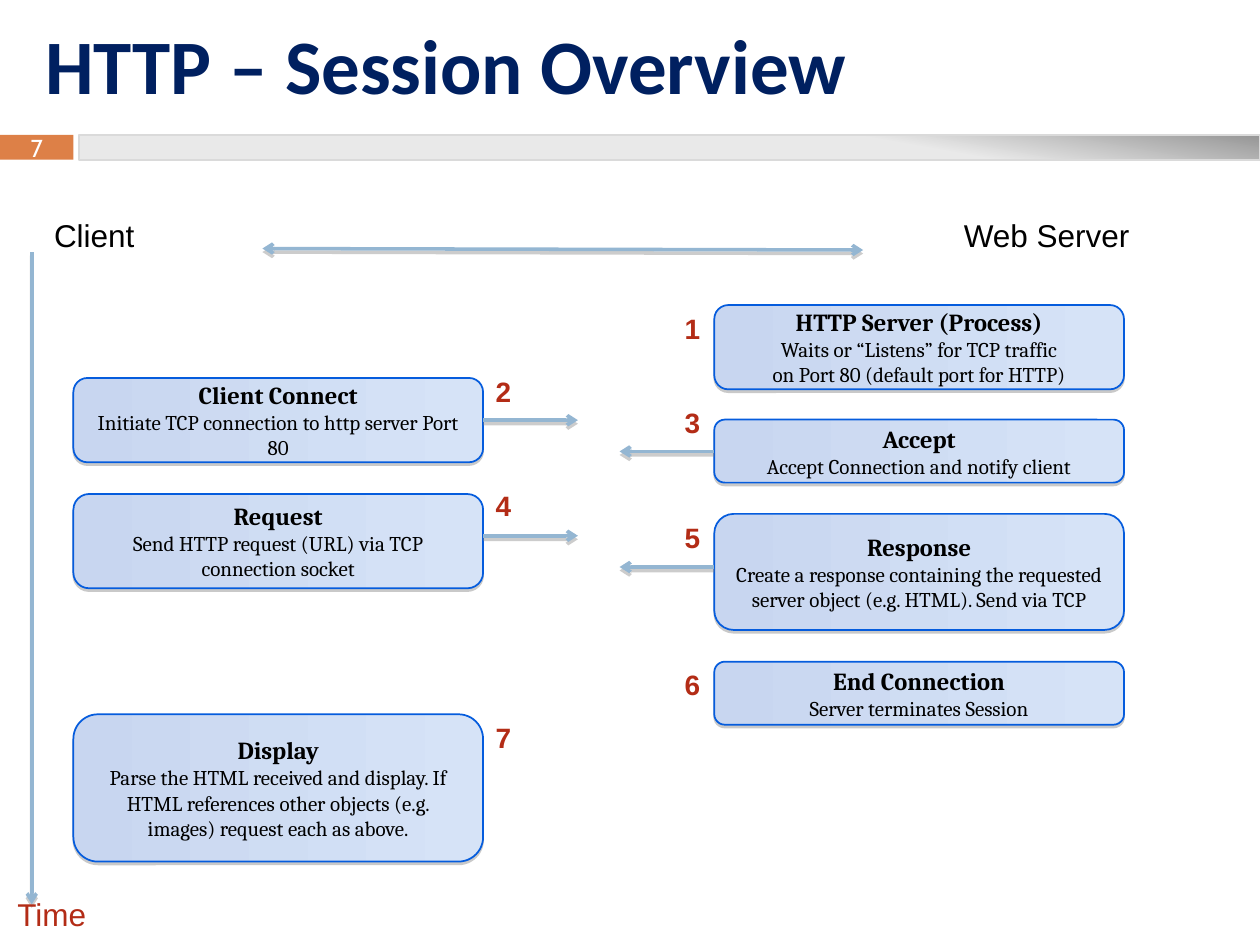
import pptx
import pptx.util
from pptx.dml.color import RGBColor
from pptx.enum.shapes import MSO_CONNECTOR, MSO_SHAPE
from pptx.enum.text import MSO_ANCHOR, MSO_AUTO_SIZE, PP_ALIGN
from pptx.oxml import parse_xml
from pptx.oxml.ns import nsdecls, qn
from lxml import etree

Cm = pptx.util.Cm
Pt = pptx.util.Pt

COLORS = {
    "title": "002060", "black": "000000", "white": "FFFFFF", "red": "B32C16",
    "orange": "DD8047", "arrow": "94B6D2", "shadow": "808080",
    "box_line": "055CDD", "box_left": "C8D6F0", "box_right": "D6E3F7",
    "bar_light": "E9E9E9", "bar_dark": "969696", "bar_line": "DADADA",
}

CLIENT_LEFT, SERVER_LEFT, BOX_WIDTH = 1.48, 14.4, 8.26
ARROW_LENGTH, NUMBER_WIDTH = 1.91, 0.85

# side, top, height, number top, arrow y, heading, description
STEPS = [
    ("server", 6.15, 1.7, 6.15, None, "HTTP Server (Process)",
     "Waits or “Listens” for TCP traffic\von Port 80 (default port for HTTP)"),
    ("client", 7.62, 1.7, 7.42, 8.47, "Client Connect",
     "Initiate TCP connection to http server Port 80"),
    ("server", 8.46, 1.27, 8.05, 9.1, "Accept",
     "Accept Connection and notify client"),
    ("client", 9.96, 1.9, 9.73, 10.8, "Request",
     "Send HTTP request (URL) via TCP connection socket"),
    ("server", 10.36, 2.34, 10.36, 11.43, "Response",
     "Create a response containing the requested server object (e.g. HTML). Send via TCP"),
    ("server", 13.34, 1.27, 13.34, None, "End Connection",
     "Server terminates Session"),
    ("client", 14.4, 2.97, 14.4, None, "Display",
     "Parse the HTML received and display. If HTML references other objects "
     "(e.g. images) request each as above."),
]


def rgb(name):
    return RGBColor.from_string(COLORS[name])


def write_text(paragraph, text, font="Arial", size=18, color="black", bold=False,
               align=PP_ALIGN.LEFT):
    paragraph.text = text
    paragraph.alignment = align
    for run in paragraph.runs:
        run.font.name = font
        run.font.size = Pt(size)
        run.font.bold = bold
        run.font.color.rgb = rgb(color)
    for line_break in paragraph._p.findall(qn("a:br")):
        etree.SubElement(line_break, qn("a:rPr")).set("sz", str(size * 100))


def add_label(slide, left, top, width, height, text, wrap=False, **text_format):
    label = slide.shapes.add_textbox(Cm(left), Cm(top), Cm(width), Cm(height))
    label.text_frame.word_wrap = wrap
    label.text_frame.auto_size = MSO_AUTO_SIZE.SHAPE_TO_FIT_TEXT
    write_text(label.text_frame.paragraphs[0], text, **text_format)


def add_block(slide, preset, left, top, width, height, line=None):
    shape = slide.shapes.add_shape(preset, Cm(left), Cm(top), Cm(width), Cm(height))
    shape.shadow.inherit = False
    if line:
        shape.line.color.rgb = rgb(line)
        shape.line.width = Pt(1)
    else:
        shape.line.fill.background()
    return shape


def fill_gradient(shape, angle, stops):
    shape.fill.gradient()
    gradient = shape._element.spPr.find(qn("a:gradFill"))
    marks = "".join(
        f'<a:gs pos="{position * 1000}"><a:srgbClr val="{COLORS[color]}"/></a:gs>'
        for position, color in stops)
    gradient.getparent().replace(gradient, parse_xml(
        f'<a:gradFill {nsdecls("a")} rotWithShape="1"><a:gsLst>{marks}</a:gsLst>'
        f'<a:lin ang="{angle * 60000}" scaled="0"/></a:gradFill>'))


def drop_shadow(shape, distance, opacity):
    properties = shape._element.spPr
    for effects in properties.findall(qn("a:effectLst")):
        properties.remove(effects)
    properties.append(parse_xml(
        f'<a:effectLst {nsdecls("a")}><a:outerShdw blurRad="0" dist="{Pt(distance)}" '
        f'dir="5400000" rotWithShape="0"><a:srgbClr val="{COLORS["shadow"]}">'
        f'<a:alpha val="{opacity * 1000}"/></a:srgbClr></a:outerShdw></a:effectLst>'))


def add_arrow(slide, x1, y1, x2, y2, ends=("tailEnd",)):
    arrow = slide.shapes.add_connector(
        MSO_CONNECTOR.STRAIGHT, Cm(x1), Cm(y1), Cm(x2), Cm(y2))
    arrow.line.color.rgb = rgb("arrow")
    arrow.line.width = Pt(2)
    line = arrow._element.spPr.find(qn("a:ln"))
    for end in ends:
        etree.SubElement(line, qn(f"a:{end}")).set("type", "arrow")
    drop_shadow(arrow, 2, 40)


def add_header(slide, left, top, width):
    # Title
    title = slide.shapes.title
    title.left, title.top = Cm(left + 0.66), Cm(top + 0.13)
    title.width, title.height = Cm(22.66), Cm(2.29)
    title.text_frame.auto_size = MSO_AUTO_SIZE.NONE
    title.text_frame.vertical_anchor = MSO_ANCHOR.MIDDLE
    write_text(title.text_frame.paragraphs[0], "HTTP – Session Overview",
               font="Calibri", size=44, color="title", bold=True)

    # Page number and grey bar
    bar_top, bar_height, bar_left = top + 2.72, 0.5, left + 1.6
    number = add_block(slide, MSO_SHAPE.RECTANGLE, left, bar_top, 1.48, bar_height)
    number.fill.solid()
    number.fill.fore_color.rgb = rgb("orange")
    number.text_frame.vertical_anchor = MSO_ANCHOR.MIDDLE
    write_text(number.text_frame.paragraphs[0], "7", font="Cabin", size=14,
               color="white", align=PP_ALIGN.CENTER)
    bar = add_block(slide, MSO_SHAPE.RECTANGLE, bar_left, bar_top,
                    left + width - bar_left, bar_height, line="bar_line")
    fill_gradient(bar, 280, [(0, "bar_light"), (69, "bar_light"), (100, "bar_dark")])


def add_axes(slide, left, top, height):
    # Names of both parties, the link between them and the time line
    add_label(slide, left + 0.74, top, 2.16, 1.02, "Client")
    add_label(slide, left + 19.08, top, 3.89, 1.02, "Web Server")
    add_arrow(slide, left + 5.19, top + 0.77, left + 17.3, top + 0.8,
              ends=("headEnd", "tailEnd"))
    add_arrow(slide, left + 0.54, top + 0.84, left + 0.54, top + height - 0.7)
    add_label(slide, left, top + height - 1.02, 1.9, 1.02, "Time", color="red")


def add_step(slide, number, side, top, height, number_top, arrow_y, heading, description):
    on_client = side == "client"
    left = CLIENT_LEFT if on_client else SERVER_LEFT
    box = add_block(slide, MSO_SHAPE.ROUNDED_RECTANGLE, left, top, BOX_WIDTH, height,
                    line="box_line")
    fill_gradient(box, 0, [(0, "box_left"), (100, "box_right")])
    drop_shadow(box, 1.6, 42)
    frame = box.text_frame
    frame.word_wrap = True
    frame.vertical_anchor = MSO_ANCHOR.MIDDLE
    write_text(frame.paragraphs[0], heading, font="Cambria", size=14, bold=True,
               align=PP_ALIGN.CENTER)
    write_text(frame.add_paragraph(), description, font="Cambria", size=12,
               align=PP_ALIGN.CENTER)

    # Number and arrow sit on the side that faces the other party
    edge = left + BOX_WIDTH if on_client else left
    number_left = edge if on_client else edge - NUMBER_WIDTH
    add_label(slide, number_left, number_top, NUMBER_WIDTH, 0.94, str(number),
              wrap=True, size=16, color="red", bold=True)
    if arrow_y:
        reach = ARROW_LENGTH if on_client else -ARROW_LENGTH
        add_arrow(slide, edge, arrow_y, edge + reach, arrow_y)


def main():
    presentation = pptx.Presentation()
    presentation.slide_width, presentation.slide_height = Cm(25.4), Cm(19.05)
    slide = presentation.slides.add_slide(presentation.slide_layouts[5])
    add_header(slide, 0, 0, 25.4)
    add_axes(slide, 0.1, 4.24, 14.69)
    for number, step in enumerate(STEPS, 1):
        add_step(slide, number, *step)
    presentation.save("out.pptx")


if __name__ == "__main__":
    main()
